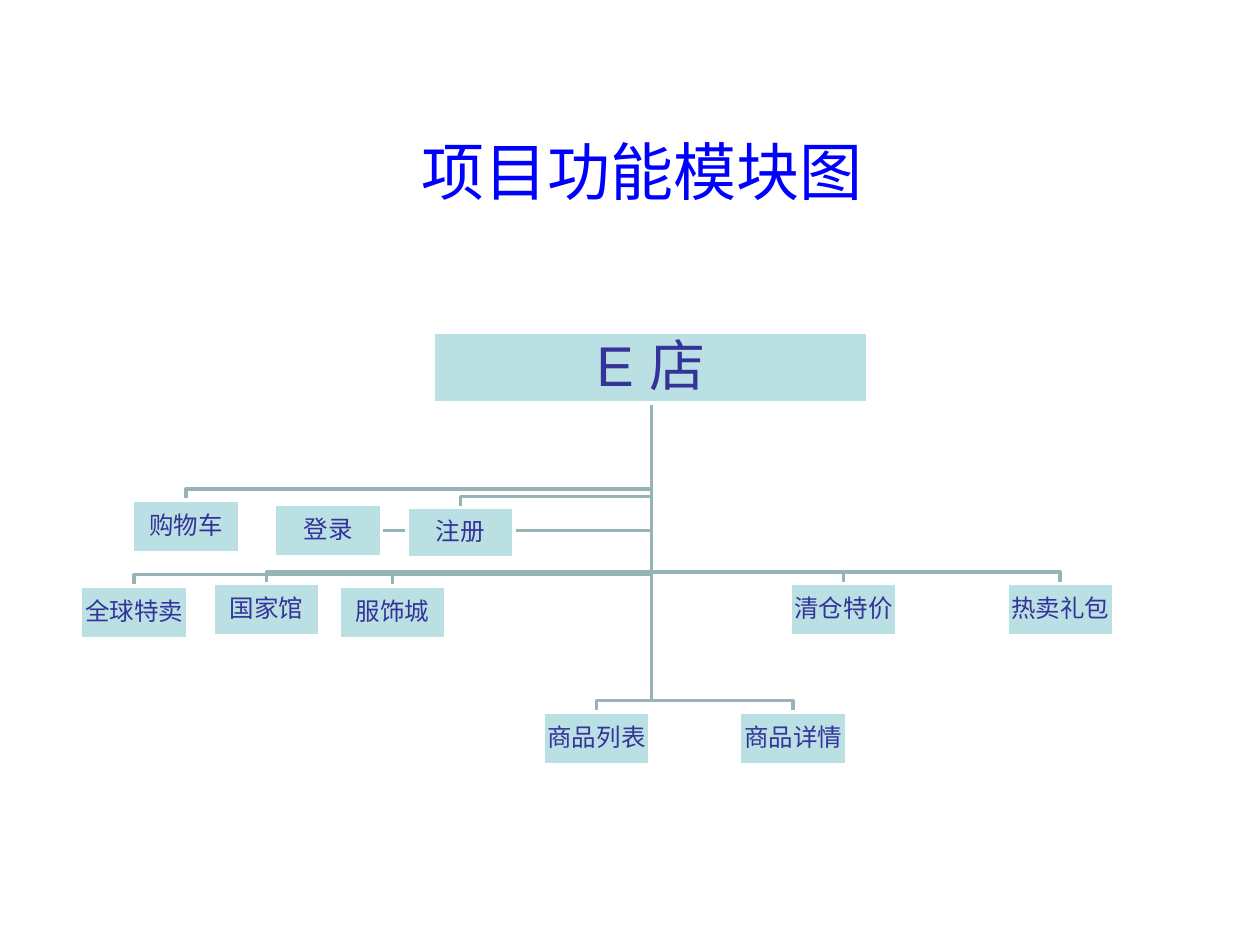
from pptx import Presentation
from pptx.dml.color import RGBColor
from pptx.enum.shapes import MSO_SHAPE
from pptx.enum.text import MSO_ANCHOR, PP_ALIGN
from pptx.util import Inches, Pt

RECT = MSO_SHAPE.RECTANGLE
MIDDLE = MSO_ANCHOR.MIDDLE
CENTER = PP_ALIGN.CENTER

FONT = "Arial"
BOX_W, BOX_H = 0.85, 0.42
ROOT = ("E 店", 3.44, 2.64, 3.45, 0.56)
TRUNK_X, TRUNK_TOP = 5.17, 3.2
DROP = 0.09

LOGIN = ("登录", 2.18, 4, BOX_H)
MODULES = [
    ("商品详情", 5.87, 5.65, BOX_H),
    ("商品列表", 4.31, 5.65, BOX_H),
    ("清仓特价", 6.27, 4.63, BOX_H),
    ("热卖礼包", 7.99, 4.63, BOX_H),
    ("购物车", 1.05, 3.97, BOX_H),
    ("注册", 3.23, 4.03, 0.4),
    ("服饰城", 2.69, 4.65, BOX_H),
    ("国家馆", 1.69, 4.63, BOX_H),
    ("全球特卖", 0.64, 4.65, BOX_H),
]


def rgb(color):
    """Turn a hex string into a colour."""
    return RGBColor.from_string(color)


def set_text(tf, text, size, color):
    """Write one paragraph and return it."""
    p = tf.paragraphs[0]
    p.text = text
    p.font.name = FONT
    p.font.size = Pt(size)
    p.font.color.rgb = rgb(color)
    return p


def add_title(s, text):
    """Add the slide title."""
    tf = s.shapes.add_textbox(Inches(3.25), Inches(1), Inches(3.83), Inches(0.7)).text_frame
    tf.word_wrap = True
    set_text(tf, text, 36, "0000FF")


def add_box(s, text, left, top, width, height, size=14, inset=0.01):
    """Add a module box with centred text."""
    sp = s.shapes.add_shape(RECT, Inches(left), Inches(top), Inches(width), Inches(height))
    sp.shadow.inherit = False
    sp.fill.solid()
    sp.fill.fore_color.rgb = rgb("BBE0E3")
    sp.line.color.rgb = rgb("FFFFFF")
    sp.line.width = Pt(2)
    tf = sp.text_frame
    tf.word_wrap = True
    tf.vertical_anchor = MIDDLE
    tf.margin_left = tf.margin_right = tf.margin_top = tf.margin_bottom = Inches(inset)
    p = set_text(tf, text, size, "333399")
    p.alignment = CENTER
    p.line_spacing = 0.9


def add_branch(s, points):
    """Draw an open line from the foot of the root box through the points."""
    fb = s.shapes.build_freeform(Inches(TRUNK_X), Inches(TRUNK_TOP))
    fb.add_line_segments([(Inches(x), Inches(y)) for x, y in points], close=False)
    sp = fb.convert_to_shape()
    sp.shadow.inherit = False
    sp.fill.background()
    sp.line.color.rgb = rgb("96B3B6")
    sp.line.width = Pt(2)


def main():
    """Build the slide and save it."""
    prs = Presentation()
    prs.slide_width, prs.slide_height = Inches(10), Inches(7.5)
    s = prs.slides.add_slide(prs.slide_layouts[6])
    add_title(s, "项目功能模块图")

    _, left, top, height = LOGIN
    login_y = top + height / 2
    add_branch(s, [(TRUNK_X, login_y), (left + BOX_W, login_y)])
    for _, left, top, _ in MODULES:
        x, bend = left + BOX_W / 2, top - DROP
        add_branch(s, [(TRUNK_X, bend), (x, bend), (x, top)])

    add_box(s, *ROOT, size=32, inset=0.02)
    for text, left, top, height in MODULES + [LOGIN]:
        add_box(s, text, left, top, BOX_W, height)
    prs.save("out.pptx")


if __name__ == "__main__":
    main()
